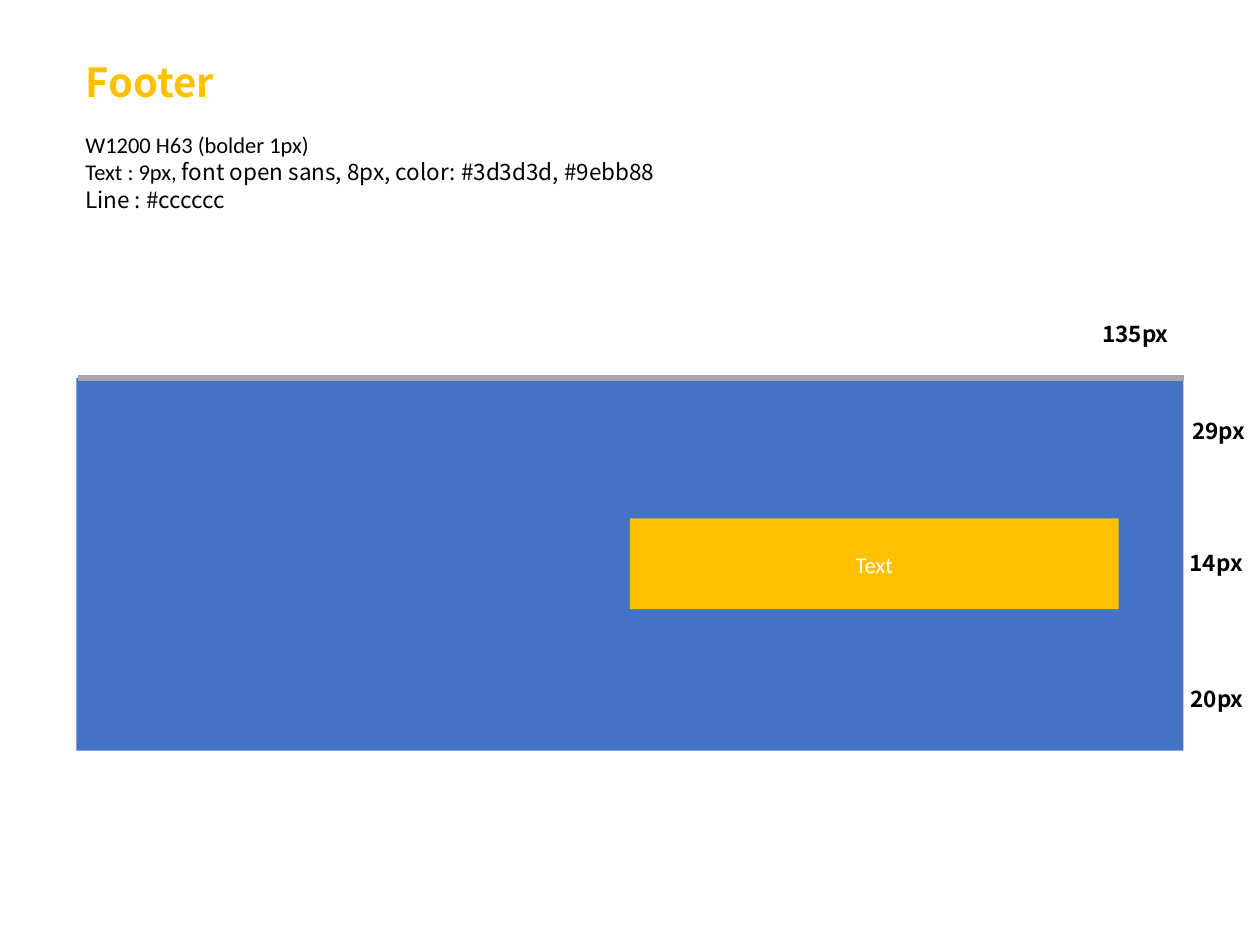
from pptx import Presentation
from pptx.dml.color import RGBColor
from pptx.enum.shapes import MSO_CONNECTOR, MSO_SHAPE
from pptx.enum.text import MSO_ANCHOR, MSO_AUTO_SIZE, PP_ALIGN
from pptx.oxml.ns import qn
from pptx.util import Inches, Pt
from lxml.etree import SubElement

THEME = {
    "heading_font": "Noto Sans CJK KR", "body_font": "Calibri",
    "title_size": 32, "body_size": 18, "line_height": 1.22,
    "black": "000000", "white": "FFFFFF", "blue": "4472C4",
    "gold": "FFC000", "gray": "A6A6A6",
}
HEADING, BODY = THEME["heading_font"], THEME["body_font"]

# Boxes are left, top, width, height in inches.
TITLE = ("Footer", (0.85, 0.58, 7.02, 0.64))
SPECIFICATION_BOX = (0.85, 1.4, 9.54, 1.01)
SPECIFICATION = [
    [("W1200 H63 (bolder 1px)", BODY)],
    [("Text : 9px, ", BODY),
     ("font open sans, 8px, color: #3d3d3d, #9ebb88", HEADING)],
    [("Line : #cccccc", HEADING)],
]
FOOTER_BOX = (0.85, 4.2, 12.3, 4.14)
TEXT_AREA = ("Text", (7, 5.76, 5.43, 1.01))
MEASURES = [
    ("29px", (13.15, 4.58, 0.79, 0.4), False),
    ("14px", (13.12, 6.05, 0.79, 0.4), False),
    ("20px", (13.13, 7.56, 0.79, 0.4), False),
    ("135px", (12.15, 3.5, 1, 0.4), True),
]
# Start, end, colour, width in points.
LINES = [
    ((1.85, 7.39), (1.85, 8.33), "blue", 0.5),
    ((0.87, 4.2), (13.15, 4.2), "gray", 5),
]


def color(name):
    return RGBColor.from_string(THEME[name])


def inches(values):
    return [Inches(value) for value in values]


def write(shape, paragraphs, size="body_size", fill="black", bold=False,
          align=PP_ALIGN.LEFT, anchor=MSO_ANCHOR.TOP, wrap=True):
    """Fill a shape with paragraphs, each a list of (text, font) runs."""
    frame = shape.text_frame
    frame.word_wrap = wrap
    frame.auto_size = MSO_AUTO_SIZE.NONE
    frame.vertical_anchor = anchor
    for index, runs in enumerate(paragraphs):
        paragraph = frame.paragraphs[0] if index == 0 else frame.add_paragraph()
        paragraph.alignment = align
        paragraph.line_spacing = Pt(round(THEME[size] * THEME["line_height"]))
        for text, font in runs:
            run = paragraph.add_run()
            run.text = text
            run.font.name = font
            run.font.size = Pt(THEME[size])
            run.font.bold = bold
            run.font.color.rgb = color(fill)


def add_rectangle(slide, box, fill):
    shape = slide.shapes.add_shape(MSO_SHAPE.RECTANGLE, *inches(box))
    shape.shadow.inherit = False
    shape.fill.solid()
    shape.fill.fore_color.rgb = color(fill)
    shape.line.fill.background()
    return shape


def add_line(slide, start, end, stroke, width):
    line = slide.shapes.add_connector(
        MSO_CONNECTOR.STRAIGHT, *inches(start + end))
    line.line.color.rgb = color(stroke)
    line.line.width = Pt(width)
    SubElement(line.element.spPr, qn("a:effectLst"))


def main():
    presentation = Presentation()
    presentation.slide_width, presentation.slide_height = inches((14, 10.5))
    slide = presentation.slides.add_slide(presentation.slide_layouts[5])

    text, box = TITLE
    title = slide.shapes.title
    title.left, title.top, title.width, title.height = inches(box)
    write(title, [[(text, HEADING)]], size="title_size", fill="gold", bold=True)

    add_rectangle(slide, FOOTER_BOX, "blue")
    write(slide.shapes.add_textbox(*inches(SPECIFICATION_BOX)), SPECIFICATION)

    text, box = TEXT_AREA
    write(add_rectangle(slide, box, "gold"), [[(text, BODY)]], fill="white",
          align=PP_ALIGN.CENTER, anchor=MSO_ANCHOR.MIDDLE)

    for text, box, wrap in MEASURES:
        write(slide.shapes.add_textbox(*inches(box)), [[(text, HEADING)]],
              bold=True, wrap=wrap)
    for line in LINES:
        add_line(slide, *line)

    presentation.save("out.pptx")


if __name__ == "__main__":
    main()
